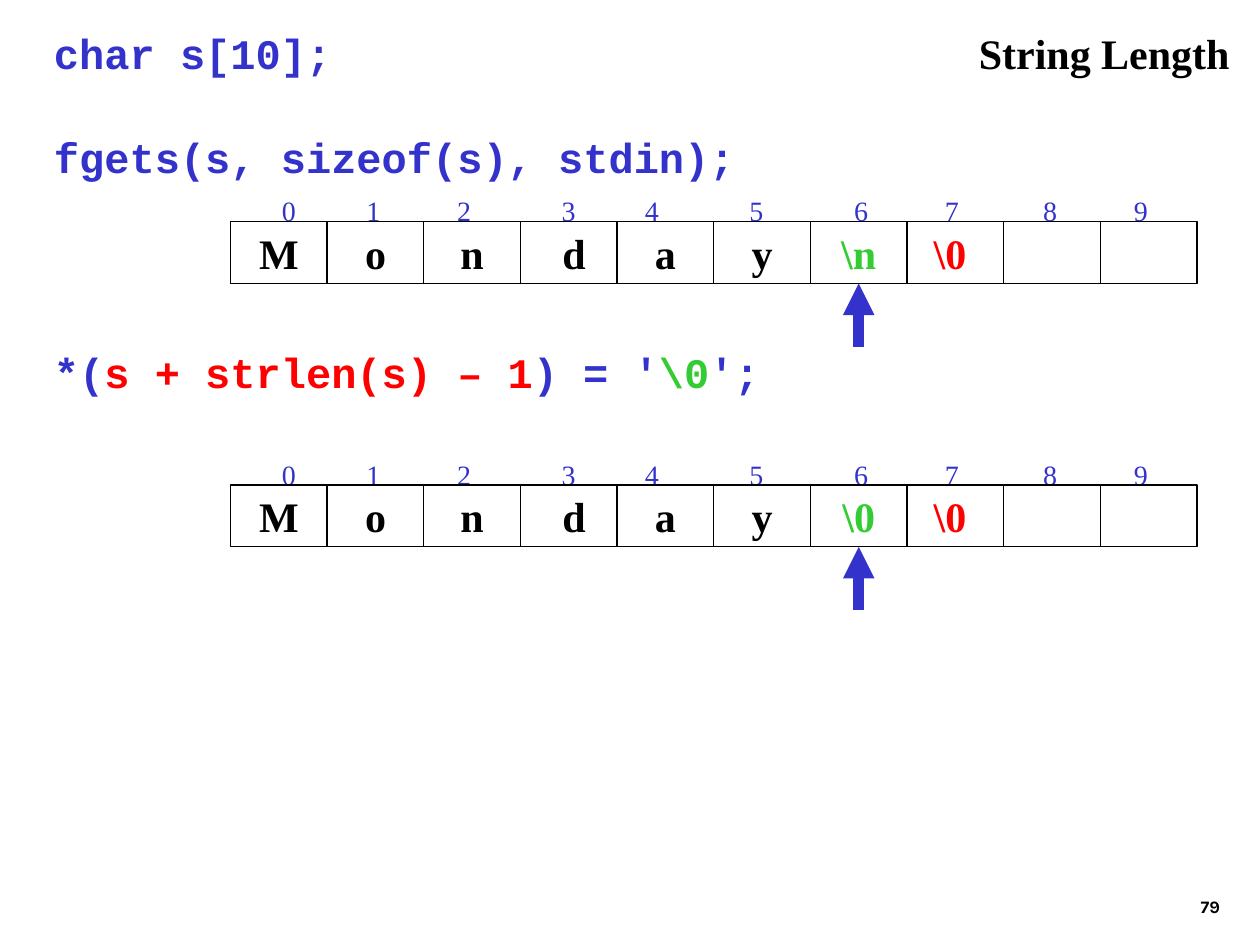
from dataclasses import dataclass

from lxml.etree import SubElement
from pptx import Presentation
from pptx.dml.color import RGBColor
from pptx.enum.shapes import MSO_CONNECTOR, MSO_SHAPE
from pptx.enum.text import MSO_ANCHOR, PP_ALIGN
from pptx.oxml.ns import qn
from pptx.util import Inches, Pt


@dataclass(frozen=True)
class Theme:
    """Colours, fonts and type sizes of the slide."""
    ink: str = "000000"
    blue: str = "3333CC"
    red: str = "FF0000"
    green: str = "33CC33"
    code_font: str = "Courier New"
    text_font: str = "Times New Roman"
    number_font: str = "Karla"
    large: int = 24
    spacer: int = 18
    index: int = 16
    number: int = 10


THEME = Theme()
INDEX_STOPS = (0.31, 0.98, 1.70, 2.53, 3.19, 4.02, 4.85, 5.57, 6.35, 7.07)


def add_span(para, text, color, font=THEME.text_font, size=THEME.large, bold=True):
    """Append one formatted run to a paragraph."""
    span = para.add_run()
    span.text = text
    span.font.name = font
    span.font.size = Pt(size)
    span.font.bold = bold
    span.font.color.rgb = RGBColor.from_string(color)


def add_text_box(shapes, left, top, width, height, anchor=MSO_ANCHOR.TOP, wrap=True):
    """Add an empty text box and return its text frame."""
    frame = shapes.add_textbox(Inches(left), Inches(top), Inches(width), Inches(height)).text_frame
    frame.word_wrap = wrap
    frame.vertical_anchor = anchor
    return frame


def add_code(page, left, top, width, height, lines, gap=30.5):
    """Place lines of code, each a list of text and colour pairs."""
    frame = add_text_box(page.shapes, left, top, width, height)
    for number, line in enumerate(lines):
        para = frame.add_paragraph() if number else frame.paragraphs[0]
        if number:
            para.space_before = Pt(gap)
        for text, color in line:
            add_span(para, text, color, THEME.code_font)


def add_indices(shapes, left, top, width, height):
    """Place the index numbers on tab stops in one line."""
    frame = add_text_box(shapes, left, top, width, height, MSO_ANCHOR.MIDDLE)
    para = frame.paragraphs[0]
    add_span(para, "\t", THEME.ink, size=THEME.spacer, bold=False)
    numbers = "\t".join(str(index) for index in range(len(INDEX_STOPS)))
    add_span(para, numbers, THEME.blue, size=THEME.index, bold=False)
    stops = SubElement(para._p.get_or_add_pPr(), qn("a:tabLst"))
    for stop in INDEX_STOPS:
        SubElement(stops, qn("a:tab"), pos=str(Inches(stop)), algn="l")


def add_cell(shapes, left, top, width, height, text, color):
    """Place one outlined array cell."""
    cell = shapes.add_shape(MSO_SHAPE.RECTANGLE, Inches(left), Inches(top), Inches(width), Inches(height))
    cell.shadow.inherit = False
    cell.fill.background()
    cell.line.color.rgb = RGBColor.from_string(THEME.ink)
    cell.line.width = Pt(0.75)
    if text:
        frame = cell.text_frame
        frame.word_wrap = False
        frame.vertical_anchor = MSO_ANCHOR.MIDDLE
        para = frame.paragraphs[0]
        para.alignment = PP_ALIGN.CENTER
        add_span(para, text, color)
    return cell


def add_pointer(page, cell, length=0.5):
    """Draw a thick arrow up to the bottom of a cell."""
    middle, bottom = cell.left + cell.width // 2, cell.top + cell.height
    arrow = page.shapes.add_connector(MSO_CONNECTOR.STRAIGHT, middle, bottom + Inches(length), middle, bottom)
    arrow.end_connect(cell, 2)
    arrow.line.color.rgb = RGBColor.from_string(THEME.blue)
    arrow.line.width = Pt(6)
    SubElement(arrow.line._get_or_add_ln(), qn("a:tailEnd"), type="triangle")
    SubElement(arrow._element.spPr, qn("a:effectLst"))


def add_array(page, left, top, width, height, contents, marked):
    """Place an indexed character array with a pointer at the marked cell."""
    shapes = page.shapes.add_group_shape().shapes
    add_indices(shapes, left, top - 0.345, width, height)
    step = width / len(contents)
    colors = {marked: THEME.green, marked + 1: THEME.red}
    cells = [
        add_cell(shapes, left + index * step, top, step, height, text, colors.get(index, THEME.ink))
        for index, text in enumerate(contents)
    ]
    add_pointer(page, cells[marked])


def add_title(page, left, top, width, height):
    """Place the slide title."""
    frame = add_text_box(page.shapes, left, top, width, height, wrap=False)
    add_span(frame.paragraphs[0], "String Length", THEME.ink)


def add_page_number(page, left, top, width, height):
    """Place the page number at the bottom right."""
    frame = add_text_box(page.shapes, left, top, width, height, MSO_ANCHOR.BOTTOM)
    para = frame.paragraphs[0]
    para.alignment = PP_ALIGN.RIGHT
    add_span(para, "79", THEME.ink, THEME.number_font, THEME.number)


def main():
    """Build and save the slide."""
    deck = Presentation()
    deck.slide_width, deck.slide_height = Inches(10), Inches(7.5)
    page = deck.slides.add_slide(deck.slide_layouts[6])
    add_page_number(page, 7.7, 6.83, 2.08, 0.5)
    add_code(page, 0.33, 2.7, 6.42, 0.9, [[
        ("*(", THEME.blue),
        ("s + strlen(s) – 1", THEME.red),
        (") = '", THEME.blue),
        ("\\0", THEME.green),
        ("';", THEME.blue),
    ]])
    add_code(page, 0.33, 0.17, 7.42, 1.3, [
        [("char s[10];", THEME.blue)],
        [("fgets(s, sizeof(s), stdin);", THEME.blue)],
    ])
    add_title(page, 7.67, 0.17, 2.19, 0.5)
    word = ["M", "o", "n", " d", "a", "y"]
    for top, ending in ((1.76, "\\n"), (3.85, "\\0")):
        add_array(page, 1.83, top, 7.67, 0.49, word + [ending, "\\0 ", "", ""], len(word))
    deck.save("out.pptx")


if __name__ == "__main__":
    main()
